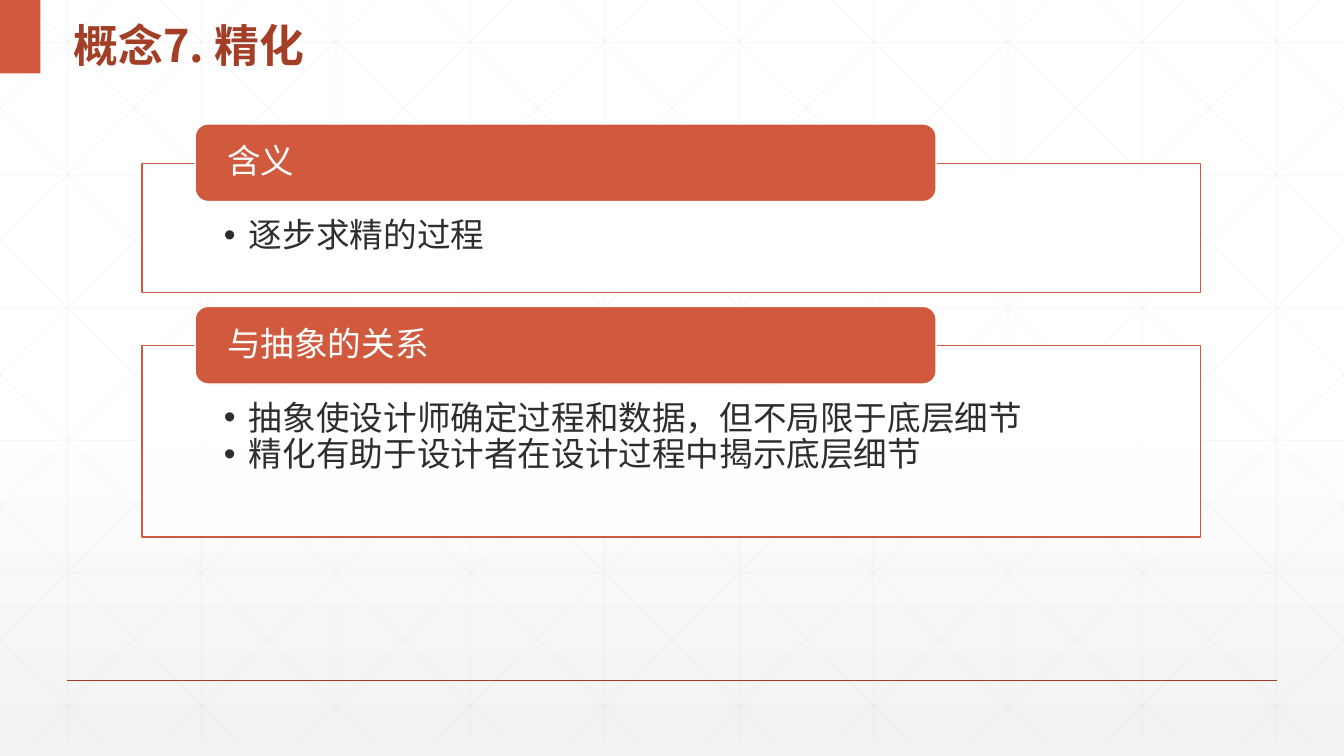
from lxml.etree import SubElement
from pptx import Presentation
from pptx.dml.color import RGBColor
from pptx.enum.shapes import MSO_CONNECTOR as Connector, MSO_SHAPE as Shape
from pptx.enum.text import MSO_ANCHOR as Anchor, MSO_AUTO_SIZE as AutoSize, PP_ALIGN as Align
from pptx.oxml.ns import qn
from pptx.util import Inches, Pt

TITLE = "概念7. 精化"
SECTIONS = [
    ("含义", ["逐步求精的过程"]),
    ("与抽象的关系", [
        "抽象使设计师确定过程和数据，但不局限于底层细节",
        "精化有助于设计者在设计过程中揭示底层细节",
    ]),
]

THEME = {
    "accent": "D15A3E", "dark": "A43F27", "body": "2D2E2D", "white": "FFFFFF",
    "mesh": "D9D9D9", "fade": "F2F2F2",
    "latin": "Arial", "chinese": "Noto Sans CJK SC",
    "title_size": 32, "text_size": 24,
}

WIDTH, HEIGHT = 13.33, 7.5
COLUMN = WIDTH / 10
ROW = 1.316
MESH_BOTTOM = 7.37
SLOPE = 0.989
FIRST_DIAGONAL = 0.25
TITLE_HEIGHT = 0.73

PANEL_LEFT, PANEL_TOP, PANEL_WIDTH = 1.41, 1.62, 10.5
PANEL_BASE, PANEL_PER_BULLET, PANEL_GAP = 0.66, 0.62, 0.53
BAR_HEIGHT, BAR_RISE = 0.77, 0.39
BAR_WIDTH = PANEL_WIDTH * 0.7
BAR_LEFT = PANEL_LEFT + PANEL_WIDTH * 0.05


def color(name):
    return RGBColor.from_string(THEME[name])


def set_opacity(fill, percent):
    """Apply an opacity to a solid fill whose colour is already set."""
    rgb = fill._xPr.find(f"{qn('a:solidFill')}/{qn('a:srgbClr')}")
    SubElement(rgb, qn("a:alpha"), val=str(percent * 1000))


def add_line(slide, start, end, color_name, width, opacity=100):
    points = [Inches(value) for value in (*start, *end)]
    line = slide.shapes.add_connector(Connector.STRAIGHT, *points)
    line.line.color.rgb = color(color_name)
    line.line.width = Pt(width)
    if opacity < 100:
        set_opacity(line.line.fill, opacity)
    SubElement(line._element.spPr, qn("a:effectLst"))


def add_box(slide, kind, box, fill, line=None, opacity=100):
    shape = slide.shapes.add_shape(kind, *[Inches(value) for value in box])
    shape.shadow.inherit = False
    shape.fill.solid()
    shape.fill.fore_color.rgb = color(fill)
    if opacity < 100:
        set_opacity(shape.fill, opacity)
    if line:
        shape.line.color.rgb = color(line)
        shape.line.width = Pt(1)
    else:
        shape.line.fill.background()
    return shape


def write(shape, lines, anchor, insets, color_name, size, spacing,
          latin="latin", bold=False, bullet=False):
    frame = shape.text_frame
    margins = ("margin_left", "margin_top", "margin_right", "margin_bottom")
    settings = dict(zip(margins, map(Inches, insets)))
    settings.update(word_wrap=True, auto_size=AutoSize.NONE, vertical_anchor=anchor)
    for name, value in settings.items():
        setattr(frame, name, value)
    for index, text in enumerate(lines):
        paragraph = frame.add_paragraph() if index else frame.paragraphs[0]
        paragraph.alignment = Align.LEFT
        paragraph.line_spacing = spacing
        if bullet:
            properties = paragraph._p.get_or_add_pPr()
            properties.set("marL", str(Inches(0.25)))
            properties.set("indent", str(-Inches(0.25)))
            SubElement(properties, qn("a:buFont"), typeface=THEME["latin"])
            SubElement(properties, qn("a:buChar"), char="•")
        run = paragraph.add_run()
        run.text = text
        run.font.color.rgb = color(color_name)
        for name, value in {"size": Pt(size), "name": THEME[latin], "bold": bold}.items():
            setattr(run.font, name, value)
        SubElement(run._r.get_or_add_rPr(), qn("a:ea"), typeface=THEME["chinese"])


def mesh_lines():
    """Yield the ends of the upright, level and mirrored diagonal lines."""
    for column in range(10):
        x = COLUMN * (column + 0.5)
        yield (x, 0), (x, MESH_BOTTOM)
    for row in range(6):
        y = 0.42 + ROW * row
        yield (0, y), (WIDTH, y)
    for step in range(-5, 10):
        origin = FIRST_DIAGONAL + COLUMN * step
        left = max(origin, 0)
        right = min(origin + MESH_BOTTOM / SLOPE, WIDTH)
        top, bottom = ((x - origin) * SLOPE for x in (left, right))
        yield (left, top), (right, bottom)
        yield (WIDTH - left, top), (WIDTH - right, bottom)


def add_background(slide):
    fill = slide.background.fill
    fill.gradient()
    fill.gradient_angle = 270
    for stop, name, position in zip(fill.gradient_stops, ("white", "fade"), (0.53, 1)):
        stop.color.rgb = color(name)
        stop.position = position
    for start, end in mesh_lines():
        add_line(slide, start, end, "mesh", 0.5, opacity=25)
    add_line(slide, (COLUMN / 2, HEIGHT * 0.9), (WIDTH - COLUMN / 2, HEIGHT * 0.9), "dark", 1)
    add_box(slide, Shape.RECTANGLE, (0, 0, WIDTH * 0.03, TITLE_HEIGHT), "accent")


def add_title(slide):
    title = slide.shapes.title
    title.element.getparent().append(title.element)
    box = {"left": 0.63, "top": 0, "width": 5.69, "height": TITLE_HEIGHT}
    for name, value in box.items():
        setattr(title, name, Inches(value))
    write(title, [TITLE], Anchor.MIDDLE, (0.1, 0.05, 0.1, 0.05), "dark",
          THEME["title_size"], 1.3, latin="chinese", bold=True)


def add_sections(slide):
    top = PANEL_TOP
    for heading, bullets in SECTIONS:
        height = PANEL_BASE + PANEL_PER_BULLET * len(bullets)
        panel = add_box(slide, Shape.RECTANGLE, (PANEL_LEFT, top, PANEL_WIDTH, height),
                        "white", "accent", opacity=90)
        write(panel, bullets, Anchor.TOP, (0.81, 0.55, 0.81, 0.19), "body",
              THEME["text_size"], 0.9, bullet=True)
        bar = add_box(slide, Shape.ROUNDED_RECTANGLE,
                      (BAR_LEFT, top - BAR_RISE, BAR_WIDTH, BAR_HEIGHT), "accent", "white")
        write(bar, [heading], Anchor.MIDDLE, (0.28, 0, 0.28, 0), "white",
              THEME["text_size"], 0.9)
        top += height + PANEL_GAP


def main():
    presentation = Presentation()
    presentation.slide_width = Inches(WIDTH)
    presentation.slide_height = Inches(HEIGHT)
    slide = presentation.slides.add_slide(presentation.slide_layouts[5])
    add_background(slide)
    add_title(slide)
    add_sections(slide)
    presentation.save("out.pptx")


if __name__ == "__main__":
    main()
